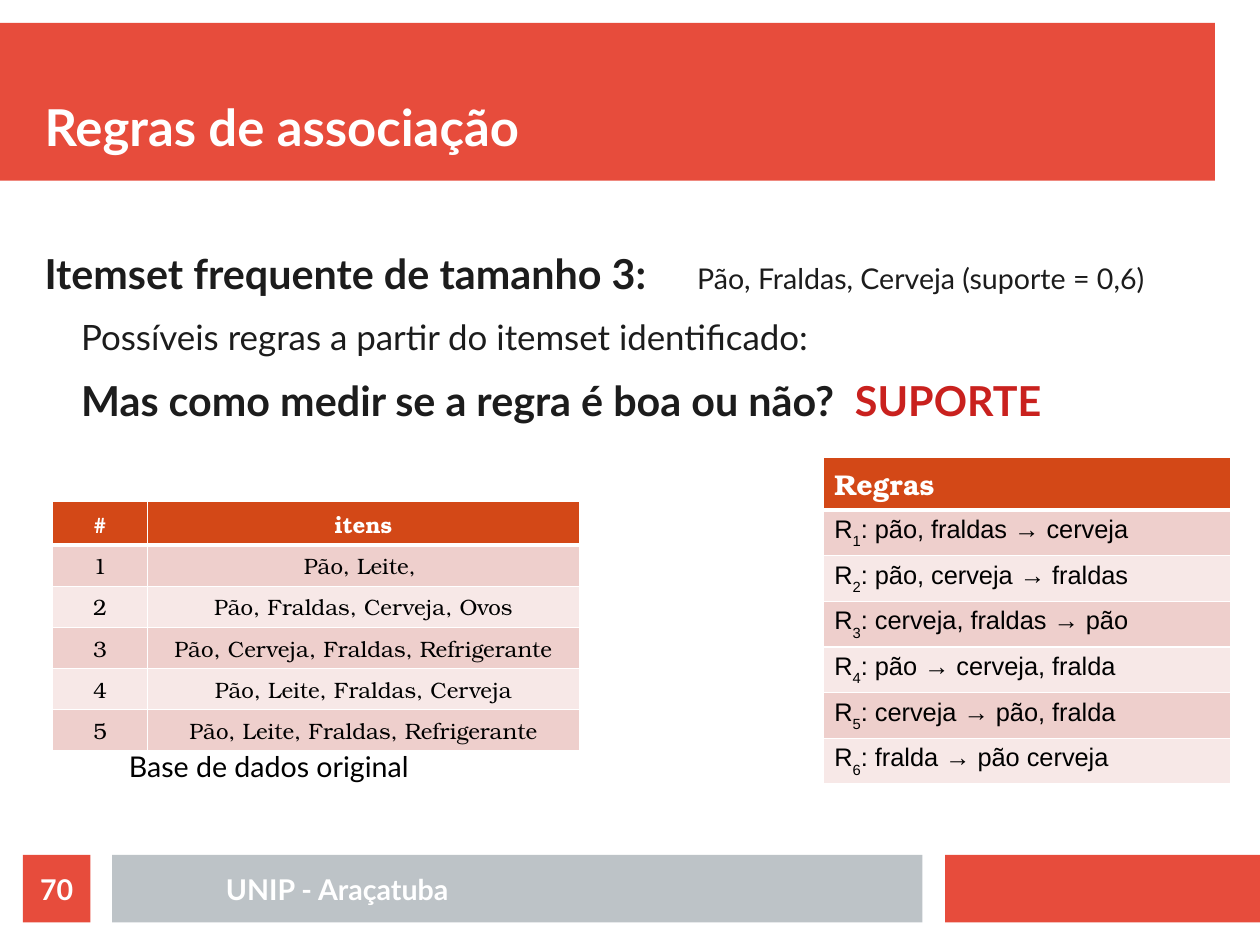
from lxml.etree import SubElement
from pptx import Presentation
from pptx.dml.color import RGBColor
from pptx.enum.shapes import MSO_SHAPE
from pptx.enum.text import MSO_ANCHOR, PP_ALIGN
from pptx.oxml.ns import qn
from pptx.util import Cm, Inches, Pt

RED = RGBColor(0xE7, 0x4C, 0x3C)
GRAY = RGBColor(0xBD, 0xC3, 0xC7)
WHITE = RGBColor(0xFF, 0xFF, 0xFF)
BLACK = RGBColor(0, 0, 0)
INK = RGBColor(0x1C, 0x1C, 0x1C)
DARK_RED = RGBColor(0xC9, 0x21, 0x1E)
HEADER = RGBColor(0xD3, 0x48, 0x17)
BANDS = [RGBColor(0xEE, 0xCF, 0xCC), RGBColor(0xF7, 0xE8, 0xE7)]
BODY_FONT = "Lato"
TABLE_FONT = "TeX Gyre Bonum"
RULE_FONT = "Arial"

ITEMSETS = [
    "Pão, Leite, ",
    "Pão, Fraldas, Cerveja, Ovos",
    "Pão, Cerveja, Fraldas, Refrigerante",
    "Pão, Leite, Fraldas, Cerveja",
    "Pão, Leite, Fraldas, Refrigerante",
]
RULES = [
    "pão, fraldas → cerveja",
    "pão, cerveja → fraldas",
    "cerveja, fraldas → pão",
    "pão → cerveja, fralda",
    "cerveja → pão, fralda",
    "fralda → pão cerveja",
]


def add_run(paragraph, text, size=18, color=WHITE, bold=False, font=BODY_FONT, baseline=0):
    run = paragraph.add_run()
    run.text = text
    run.font.name = font
    run.font.size = Pt(size)
    run.font.bold = bold
    run.font.color.rgb = color
    if baseline:
        run.font._element.set("baseline", str(baseline * 1000))


def add_text_box(slide, left, top, width, height, anchor=MSO_ANCHOR.TOP, margins=(0, 0)):
    box = slide.shapes.add_textbox(Inches(left), Inches(top), Inches(width), Inches(height))
    frame = box.text_frame
    frame.word_wrap = True
    frame.vertical_anchor = anchor
    frame.margin_left = frame.margin_right = Inches(margins[0])
    frame.margin_top = frame.margin_bottom = Inches(margins[1])
    return frame


def add_bar(slide, left, top, width, height, color):
    shape = slide.shapes.add_shape(
        MSO_SHAPE.RECTANGLE, Inches(left), Inches(top), Inches(width), Inches(height))
    shape.shadow.inherit = False
    shape.fill.solid()
    shape.fill.fore_color.rgb = color
    shape.line.fill.background()
    return shape


def set_tab(paragraph, position):
    tabs = SubElement(paragraph._p.get_or_add_pPr(), qn("a:tabLst"))
    SubElement(tabs, qn("a:tab"), pos=str(Inches(position)), algn="l")


def style_cell(cell, row):
    properties = cell._tc.get_or_add_tcPr()
    for side in ("L", "R", "T", "B"):
        thick = (row == 0 and side == "B") or (row == 1 and side == "T")
        width = Pt(3) if thick else Pt(0.96)
        line = SubElement(properties, qn("a:ln" + side), w=str(int(width)))
        fill = SubElement(line, qn("a:solidFill"))
        SubElement(fill, qn("a:srgbClr"), val=str(WHITE))
    cell.fill.solid()
    cell.fill.fore_color.rgb = BANDS[(row - 1) % 2] if row else HEADER


def add_plain_table(slide, left, top, column_widths, row_heights):
    table = slide.shapes.add_table(
        len(row_heights), len(column_widths), Inches(left), Inches(top),
        Inches(sum(column_widths)), Inches(sum(row_heights))).table
    table.horz_banding = False
    for column, width in zip(table.columns, column_widths):
        column.width = Inches(width)
    for index, (row, height) in enumerate(zip(table.rows, row_heights)):
        row.height = Inches(height)
        for cell in row.cells:
            style_cell(cell, index)
    return table


def add_header(slide, left, top, width, height):
    add_bar(slide, left, top, width, height, RED)
    frame = add_text_box(slide, left + 0.39, top + 0.19, width - 0.39, 0.98, MSO_ANCHOR.BOTTOM)
    add_run(frame.paragraphs[0], "Regras de associação", size=32, bold=True)


def add_body(slide, left, top, width):
    # Itemset and its support
    indent = 0.32
    frame = add_text_box(slide, left, top, width, 1.05)
    heading = frame.paragraphs[0]
    heading.space_after = Pt(11.4)
    set_tab(heading, 5.71)
    add_run(heading, "Itemset frequente de tamanho 3:\t", size=26, color=INK, bold=True)
    add_run(heading, "Pão, Fraldas, Cerveja (suporte = 0,6)", color=INK)
    detail = frame.add_paragraph()
    detail._p.get_or_add_pPr().set("marL", str(Inches(indent)))
    add_run(detail, "Possíveis regras a partir do itemset identificado:", size=22, color=INK)

    # Question and answer
    frame = add_text_box(slide, left + indent, top + 1.11, width - indent, 0.45)
    question = frame.paragraphs[0]
    set_tab(question, 6.77)
    add_run(question, "Mas como medir se a regra é boa ou não?\t", size=26, color=INK, bold=True)
    add_run(question, "SUPORTE", size=26, color=DARK_RED, bold=True)


def add_rules_table(slide, left, top, width):
    table = add_plain_table(slide, left, top, [width], [0.46] + [0.4] * len(RULES))
    add_run(table.cell(0, 0).text_frame.paragraphs[0], "Regras", bold=True, font=TABLE_FONT)
    for number, rule in enumerate(RULES, 1):
        cell = table.cell(number, 0)
        cell.margin_bottom = Inches(0.02)
        paragraph = cell.text_frame.paragraphs[0]
        for text, baseline in (("R", 0), (str(number), -33), (": " + rule, 0)):
            add_run(paragraph, text, size=16, color=BLACK, font=RULE_FONT, baseline=baseline)


def add_items_table(slide, left, top, width):
    number_width = 0.83
    rows = [("#", "itens")] + [(str(n), items) for n, items in enumerate(ITEMSETS, 1)]
    table = add_plain_table(
        slide, left, top, [number_width, width - number_width],
        [0.38] + [0.36] * len(ITEMSETS))
    for row, texts in enumerate(rows):
        for column, text in enumerate(texts):
            paragraph = table.cell(row, column).text_frame.paragraphs[0]
            paragraph.alignment = PP_ALIGN.CENTER
            add_run(paragraph, text, size=14, color=BLACK if row else WHITE,
                    bold=row == 0, font=TABLE_FONT)

    # Caption
    frame = add_text_box(slide, left + 0.57, top + 2.11, 2.74, 0.4, margins=(0.1, 0.05))
    add_run(frame.paragraphs[0], "Base de dados original", color=BLACK)


def add_footer(slide, left, top, height):
    add_bar(slide, left + 8.07, top, 2.76, height, RED)
    add_bar(slide, left + 0.78, top, 7.09, height, GRAY)
    school = add_text_box(slide, left + 0.98, top, 3.54, height, MSO_ANCHOR.MIDDLE)
    number = add_bar(slide, left, top, height, height, RED).text_frame
    number.margin_left = number.margin_right = number.margin_top = number.margin_bottom = 0
    number.vertical_anchor = MSO_ANCHOR.MIDDLE
    for frame, text in ((school, "UNIP - Araçatuba"), (number, "70")):
        frame.paragraphs[0].alignment = PP_ALIGN.CENTER
        add_run(frame.paragraphs[0], text, bold=True)


def main():
    presentation = Presentation()
    presentation.slide_width = Cm(28)
    presentation.slide_height = Cm(21)
    slide = presentation.slides.add_slide(presentation.slide_layouts[6])
    add_header(slide, 0, 0.2, 10.63, 1.38)
    add_body(slide, 0.39, 2.17, 10.04)
    add_rules_table(slide, 7.2, 4, 3.57)
    add_items_table(slide, 0.46, 4.39, 4.61)
    add_footer(slide, 0.2, 7.48, 0.59)
    presentation.save("out.pptx")


if __name__ == "__main__":
    main()
